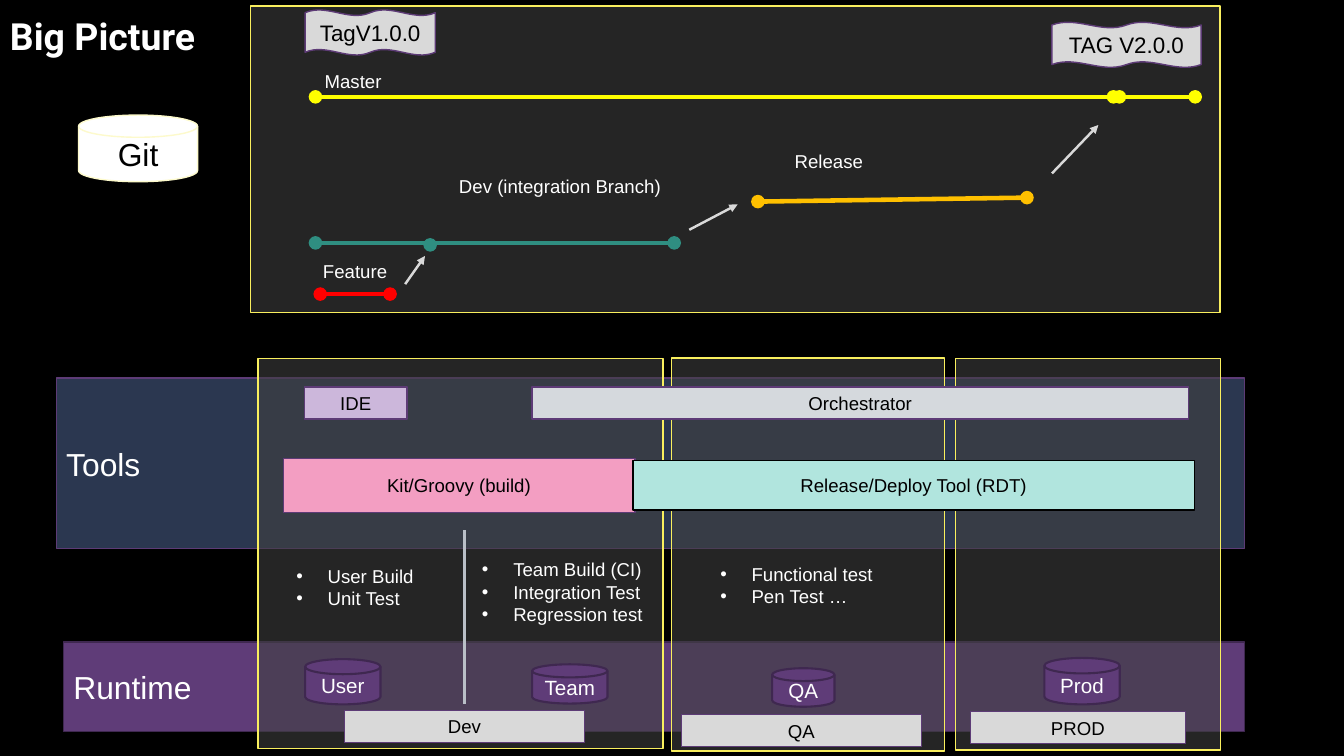
from dataclasses import dataclass

from lxml.etree import SubElement
from pptx import Presentation
from pptx.dml.color import RGBColor
from pptx.enum.shapes import MSO_CONNECTOR, MSO_SHAPE
from pptx.enum.text import MSO_ANCHOR, PP_ALIGN
from pptx.oxml.ns import qn
from pptx.util import Cm, Pt


@dataclass(frozen=True)
class Theme:
    black: str = "000000"
    white: str = "FFFFFF"
    panel: str = "404040"
    panel_line: str = "F9EF5E"
    grey: str = "D9D9D9"
    divider: str = "B9BFC7"
    purple: str = "5F3C78"
    purple_line: str = "5D3B76"
    dark_purple: str = "3F2850"
    navy: str = "2B3750"
    lilac: str = "CCB7DB"
    pink: str = "F39EC2"
    mint: str = "B1E5DE"
    silver: str = "D5D9DD"
    cream: str = "FDFACC"
    yellow: str = "FFFF00"
    teal: str = "2F8E81"
    red: str = "FF0000"
    amber: str = "FFC000"
    body_font: str = "Arial"
    title_font: str = "Roboto"
    title: float = 26.7
    heading: float = 22.7
    tag: float = 16
    disk: float = 14.7
    label: float = 13.3


T = Theme()


def color(value):
    return RGBColor.from_string(value)


def format_run(r, **values):
    for name, value in values.items():
        setattr(r.font, name, value)


def add_box(s, origin, box, kind=MSO_SHAPE.RECTANGLE, fill=None, line=None, width=1, text="",
            size=T.label, ink=T.black, align=PP_ALIGN.CENTER, bullets=False):
    """Place a shape at an offset from origin, with one paragraph per line of text."""
    x, y, w, h = box
    sp = s.shapes.add_shape(kind, Cm(origin[0] + x), Cm(origin[1] + y), Cm(w), Cm(h))
    sp.shadow.inherit = False
    for part, value in ((sp.fill, fill), (sp.line.fill, line)):
        if value:
            part.solid()
            part.fore_color.rgb = color(value)
        else:
            part.background()
    if line:
        sp.line.width = Pt(width)
    tf = sp.text_frame
    tf.word_wrap = True
    tf.vertical_anchor = MSO_ANCHOR.MIDDLE
    for i, row in enumerate(text.split("\n") if text else []):
        p = tf.add_paragraph() if i else tf.paragraphs[0]
        p.alignment = align
        r = p.add_run()
        r.text = row
        format_run(r, name=T.body_font, size=Pt(size))
        r.font.color.rgb = color(ink)
        if bullets:
            pPr = p._p.get_or_add_pPr()
            pPr.set("marL", str(Cm(0.79)))
            pPr.set("indent", str(-Cm(0.79)))
            SubElement(pPr, qn("a:buFont"), typeface=T.body_font)
            SubElement(pPr, qn("a:buChar"), char="•")
    return sp


def add_panel(s, box):
    sp = add_box(s, (0, 0), box, fill=T.panel, line=T.panel_line)
    clr = sp.fill._xPr.find(qn("a:solidFill")).find(qn("a:srgbClr"))
    SubElement(clr, qn("a:alpha"), val="59000")


def add_line(s, origin, points, ink, width, head=None, tail=None):
    x, y = origin[:2]
    x1, y1, x2, y2 = points
    cx = s.shapes.add_connector(MSO_CONNECTOR.STRAIGHT, Cm(x + x1), Cm(y + y1),
                                Cm(x + x2), Cm(y + y2))
    cx.line.color.rgb = color(ink)
    cx.line.width = Pt(width)
    ln = cx.line._get_or_add_ln()
    for tag, end in (("a:headEnd", head), ("a:tailEnd", tail)):
        if end:
            SubElement(ln, qn(tag), type=end)
    SubElement(cx._element.spPr, qn("a:effectLst"))


def add_disk(s, origin, box, text):
    add_box(s, origin, box, MSO_SHAPE.FLOWCHART_MAGNETIC_DISK, T.purple, T.dark_purple, 1.5,
            text, T.disk, T.white)


def add_title(s, box):
    sp = s.shapes.title
    sp.left, sp.top, sp.width, sp.height = (Cm(v) for v in box)
    tf = sp.text_frame
    frame = dict(margin_left=Cm(0.25), margin_top=0, margin_right=0, margin_bottom=0,
                 vertical_anchor=MSO_ANCHOR.MIDDLE, word_wrap=True)
    for name, value in frame.items():
        setattr(tf, name, value)
    p = tf.paragraphs[0]
    p.alignment = PP_ALIGN.LEFT
    p.line_spacing = 0.9
    r = p.add_run()
    r.text = "Big Picture"
    format_run(r, name=T.title_font, size=Pt(T.title), bold=True)
    r.font.color.rgb = color(T.white)


def add_branches(s, box):
    """Draw the branch history, its merge arrows and its tags."""
    add_panel(s, box)
    for text, place in (("TagV1.0.0", (1.37, 0.1, 3.28, 1.14)),
                        ("TAG V2.0.0", (20.19, 0.41, 3.76, 1.14))):
        add_box(s, box, place, MSO_SHAPE.DOUBLE_WAVE, T.grey, T.purple_line, text=text, size=T.tag)
    for text, place in (("Master", (0.94, 1.7, 3.28, 0.38)),
                        ("Dev (integration Branch)", (4.85, 4.45, 5.89, 0.2)),
                        ("Feature", (0.99, 6.48, 3.28, 0.38)),
                        ("Release", (12.93, 3.73, 3.28, 0.38))):
        add_box(s, box, place, MSO_SHAPE.ROUNDED_RECTANGLE, text=text, ink=T.white)
    for ink, points, tail in ((T.yellow, (1.63, 2.29, 23.8, 2.29), "oval"),
                              (T.yellow, (21.89, 2.29, 21.74, 2.29), "oval"),
                              (T.teal, (1.63, 5.97, 10.67, 5.97), "oval"),
                              (T.teal, (4.52, 6.02, 4.65, 6.02), None),
                              (T.red, (1.75, 7.26, 3.51, 7.26), "oval"),
                              (T.amber, (12.78, 4.93, 19.56, 4.83), "oval")):
        add_line(s, box, points, ink, 3.25, "oval", tail)
    for points in ((3.89, 7.01, 4.39, 6.3), (11.05, 5.64, 12.27, 5), (20.19, 4.22, 21.36, 3)):
        add_line(s, box, points, T.grey, 1.75, tail="triangle")


def add_band(s, box, text, fill, line):
    add_box(s, (0, 0), box, fill=fill, line=line, text=text, size=T.heading, ink=T.white,
            align=PP_ALIGN.LEFT)


def add_stage(s, box, name, plate, disks, tests=(), divider=None):
    """Draw one delivery stage: its tests, its runtimes and its name plate."""
    add_panel(s, box)
    for text, place in tests:
        add_box(s, box, place, MSO_SHAPE.ROUNDED_RECTANGLE, text=text, ink=T.white,
                align=PP_ALIGN.LEFT, bullets=True)
    for text, place in disks:
        add_disk(s, box, place, text)
    add_box(s, box, plate, fill=T.grey, line=T.purple_line, text=name)
    if divider:
        add_line(s, box, divider, T.divider, 1.75)


def add_tools(s, box):
    for text, place, fill, line in (
            ("IDE", (6.25, 0.22, 2.59, 0.81), T.lilac, T.purple_line),
            ("Orchestrator", (11.99, 0.22, 16.54, 0.81), T.silver, T.purple_line),
            ("Kit/Groovy (build)", (5.72, 2.03, 8.86, 1.35), T.pink, T.purple_line),
            ("Release/Deploy Tool (RDT)", (14.53, 2.08, 14.15, 1.24), T.mint, T.black)):
        add_box(s, box, place, fill=fill, line=line, text=text)


def main():
    prs = Presentation()
    prs.slide_width, prs.slide_height = Cm(33.87), Cm(19.05)
    s = prs.slides.add_slide(prs.slide_layouts[5])
    s.background.fill.solid()
    s.background.fill.fore_color.rgb = color(T.black)

    add_title(s, (0, 0.03, 29.21, 1.88))
    add_branches(s, (6.32, 0.15, 24.43, 7.72))
    add_box(s, (0, 0), (1.98, 2.9, 3, 1.68), MSO_SHAPE.FLOWCHART_MAGNETIC_DISK, T.white, T.cream,
            text="Git", size=T.heading)

    tools = (1.42, 9.53, 29.95, 4.29)
    add_band(s, tools, "Tools", T.navy, T.purple_line)
    add_band(s, (1.6, 16.18, 29.77, 2.26), "Runtime", T.purple, T.dark_purple)
    add_stage(s, (6.5, 9.04, 10.21, 9.83), "Dev", (2.18, 8.86, 6.05, 0.81),
              [("User", (1.19, 7.57, 1.9, 1.14)), ("Team", (6.91, 7.7, 1.9, 0.99))],
              [("User Build\nUnit Test", (0.64, 4.95, 4.17, 1.6)),
               ("Team Build (CI)\nIntegration Test\nRegression test", (5.31, 4.98, 4.78, 1.78))],
              (5.21, 4.32, 5.21, 8.69))
    add_stage(s, (24.08, 9.04, 6.68, 9.86), "PROD", (0.38, 8.89, 5.41, 0.81),
              [("Prod", (2.24, 7.54, 1.9, 1.17))])
    add_stage(s, (16.92, 9.02, 6.88, 9.91), "QA", (0.25, 8.99, 6.05, 0.81),
              [("QA", (2.54, 7.82, 1.57, 0.97))],
              [("Functional test\nPen Test …", (0.89, 4.78, 4.8, 1.9))])
    add_tools(s, tools)
    prs.save("out.pptx")


if __name__ == "__main__":
    main()
